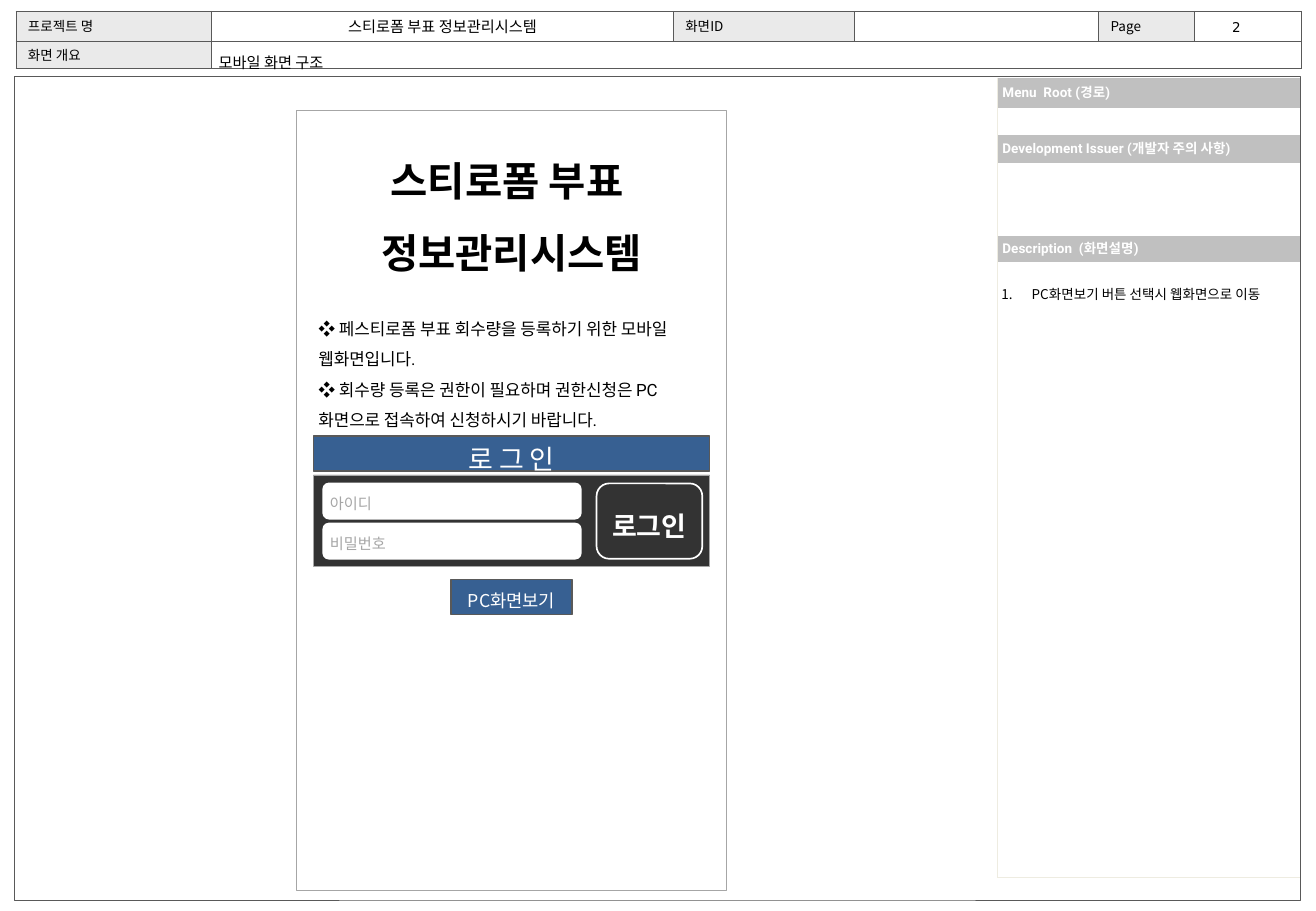
from lxml import etree
from pptx import Presentation, util as u
from pptx.dml.color import RGBColor
from pptx.enum import shapes, text
from pptx.oxml.ns import qn

KR, LATIN = "Noto Sans CJK KR", "Roboto"
WHITE, BLACK, GRAY, DARK, BLUE = "FFFFFF", "000000", "A6A6A6", "595959", "376092"
HEAD, BAND, PALE = "EAEAEA", "C0C0C0", "EEECE1"
RECT = shapes.MSO_SHAPE.RECTANGLE
ROUND = shapes.MSO_SHAPE.ROUNDED_RECTANGLE
LEFT, MID = text.PP_ALIGN.LEFT, text.PP_ALIGN.CENTER
TOP, CENTER = text.MSO_ANCHOR.TOP, text.MSO_ANCHOR.MIDDLE


def hue(code):
    return RGBColor.from_string(code)


def grid(n):
    """One grid cell is a tenth of an inch, across and down."""
    return u.Inches(n / 10)


def write(frame, lines, size=8, font=KR, color=BLACK, bold=False,
          align=LEFT, space=1.5, before=0):
    for i, line in enumerate(lines):
        para = frame.add_paragraph() if i else frame.paragraphs[0]
        para.alignment, para.line_spacing = align, space
        para.space_before, para.space_after = u.Pt(before), u.Pt(0)
        if not line:
            etree.SubElement(para._p, qn("a:endParaRPr"), sz=str(size * 100))
            continue
        run = para.add_run()
        run.text = line
        run.font.size, run.font.name, run.font.bold = u.Pt(size), font, bold
        run.font.color.rgb = hue(color)
        etree.SubElement(run._r.get_or_add_rPr(), qn("a:ea"), typeface=KR)


class Board:
    def __init__(self, slide):
        self.slide, self.inset = slide, grid(0.4)

    def pad(self, frame, anchor=TOP, wrap=True):
        frame.word_wrap, frame.vertical_anchor = wrap, anchor
        frame.auto_size = text.MSO_AUTO_SIZE.NONE
        frame.margin_left = frame.margin_right = self.inset
        frame.margin_top = frame.margin_bottom = self.inset
        return frame

    def label(self, area, lines, wrap=True, **form):
        item = self.slide.shapes.add_textbox(*map(grid, area))
        write(self.pad(item.text_frame, wrap=wrap), lines, **form)

    def holder(self, item, area, lines, **form):
        item.left, item.top, item.width, item.height = map(grid, area)
        write(self.pad(item.text_frame), lines, **form)

    def box(self, area, kind=RECT, fill=None, line=DARK, width=1, words="", **form):
        item = self.slide.shapes.add_shape(kind, *map(grid, area))
        item.shadow.inherit = False
        if fill:
            item.fill.solid()
            item.fill.fore_color.rgb = hue(fill)
        else:
            item.fill.background()
        item.line.color.rgb, item.line.width = hue(line), u.Pt(width)
        if words:
            write(self.pad(item.text_frame, CENTER), [words], space=1.3, **form)
        return item

    def table(self, left, top, cols, rows):
        item = self.slide.shapes.add_table(
            len(rows), len(cols), grid(left), grid(top), grid(sum(cols)), grid(sum(rows)))
        table = item.table
        table.first_row = table.horz_banding = False
        for col, size in zip(table.columns, cols):
            col.width = grid(size)
        for row, size in zip(table.rows, rows):
            row.height = grid(size)
        return table

    def cell(self, cell, words, sides, edge, fill=None, inset=0.4, **form):
        cell.margin_left = cell.margin_right = grid(inset)
        cell.margin_top = cell.margin_bottom = 0
        cell.vertical_anchor = CENTER
        write(cell.text_frame, [words], **form)
        props = cell._tc.get_or_add_tcPr()
        for side in "LRTB":
            line = etree.SubElement(props, qn("a:ln" + side), w="3175")
            if side in sides:
                paint = etree.SubElement(line, qn("a:solidFill"))
                etree.SubElement(paint, qn("a:srgbClr"), val=edge)
            else:
                etree.SubElement(line, qn("a:noFill"))
        if fill:
            cell.fill.solid()
            cell.fill.fore_color.rgb = hue(fill)
        else:
            cell.fill.background()


def main():
    deck = Presentation()
    deck.slide_width, deck.slide_height = grid(108.3), grid(75)
    slide = deck.slides.add_slide(deck.slide_layouts[1])
    board = Board(slide)
    title, notes = slide.placeholders

    # Project header
    head = board.table(1.3, 0.9, [16.1, 38, 14.9, 20.1, 7.9, 8.8], [2.45, 2.3])
    names = [["프로젝트 명", "스티로폼 부표 정보관리시스템", "화면ID", "", "Page", ""],
             ["화면 개요", "", "", "", "", ""]]
    head.cell(1, 1).merge(head.cell(1, 5))
    for r, row in enumerate(names):
        for c, words in enumerate(row):
            main_name = (r, c) == (0, 1)
            board.cell(head.cell(r, c), words, "LRTB", DARK, inset=1,
                       fill=HEAD if words and not main_name else None,
                       size=9 if main_name else 8, space=1,
                       align=MID if main_name else LEFT)
    board.label([101, 0.5, 2.7, 2.5], ["2"], wrap=False, font="DejaVu Sans")
    board.label([17.6, 3.2, 37.4, 3.1], ["모바일 화면 구조"], size=9)

    # Side panel
    side = board.table(82.1, 6.4, [25], [2.5, 2.2, 2.3, 6, 2.2, 50.6])
    bands = ["Menu  Root (경로)", "", "Development Issuer (개발자 주의 사항)", "",
             "Description  (화면설명)", ""]
    for r, words in enumerate(bands):
        board.cell(side.cell(r, 0), words, "LB" if r == 5 else "L", PALE,
                   fill=BAND if words else None, font=LATIN, color=WHITE,
                   bold=True, space=0.8, before=1.6)
    board.holder(notes, [82, 22.5, 24.9, 2.8], ["PC화면보기 버튼 선택시 웹화면으로 이동"])
    props = notes.text_frame.paragraphs[0]._p.get_or_add_pPr()
    props.set("marL", str(grid(2.5)))
    props.set("indent", str(-grid(2.5)))
    etree.SubElement(props, qn("a:buFont"), typeface=KR)
    etree.SubElement(props, qn("a:buAutoNum"), type="arabicPeriod")

    # Page frame and phone screen
    board.box([1.2, 6.3, 105.8, 67.8], width=0.5)
    board.box([24.4, 9.1, 35.4, 64.2], line=GRAY, width=0.25)
    board.holder(title, [26.6, 10.4, 31, 12.1], ["스티로폼 부표 ", "정보관리시스템"],
                 size=24, font=LATIN, bold=True, align=MID)
    board.label([25.8, 25, 32.6, 10.9],
                ["❖ 페스티로폼 부표 회수량을 등록하기 위한 모바일 웹화면입니다.",
                 "❖ 회수량 등록은 권한이 필요하며 권한신청은 PC화면으로 접속하여 신청하시기 바랍니다."],
                size=10, font=LATIN)

    # Login form
    panel = board.box([25.8, 39.1, 32.6, 7.5], fill=BLACK, line=GRAY, width=0.25)
    shade = panel.fill._xPr.find(qn("a:solidFill"))[0]
    etree.SubElement(shade, qn("a:alpha"), val="80000")
    for i, words in enumerate(["아이디", "비밀번호"]):
        board.box([26.6, 39.8 + 3.3 * i, 21.2, 2.9], ROUND, WHITE, WHITE,
                  words=words, size=9, color=GRAY)
    board.box([49.1, 39.8, 8.7, 6.2], ROUND, line=WHITE, words="로그인",
              size=16, color=WHITE, bold=True, align=MID)

    # Blue bars
    for area, words, size in [([25.8, 35.9, 32.6, 2.9], "로 그 인", 16),
                              ([37.1, 47.7, 10, 2.9], "PC화면보기", 10.5)]:
        board.box(area, fill=BLUE, words=words, size=size, color=WHITE, align=MID)

    deck.save("out.pptx")


if __name__ == "__main__":
    main()
